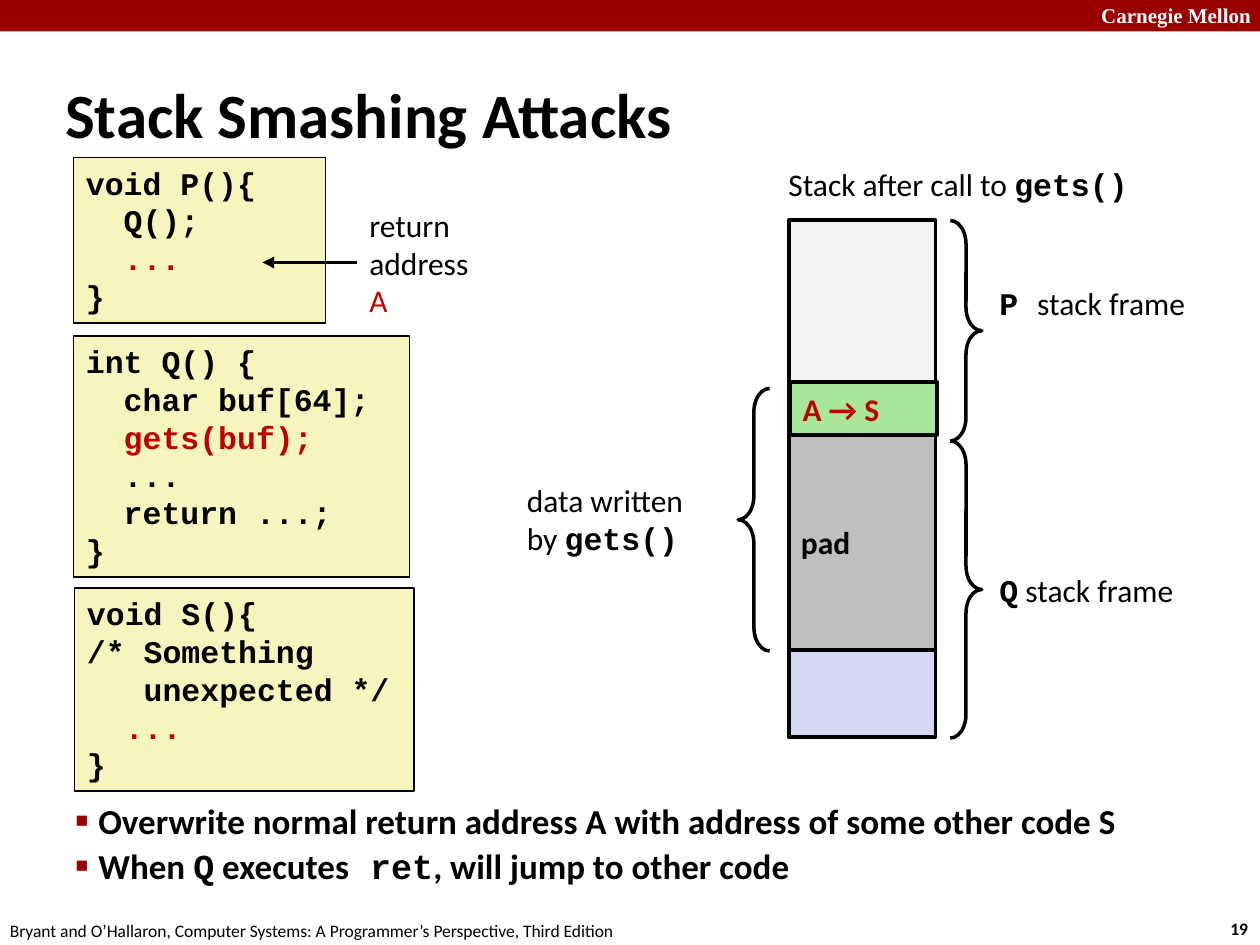
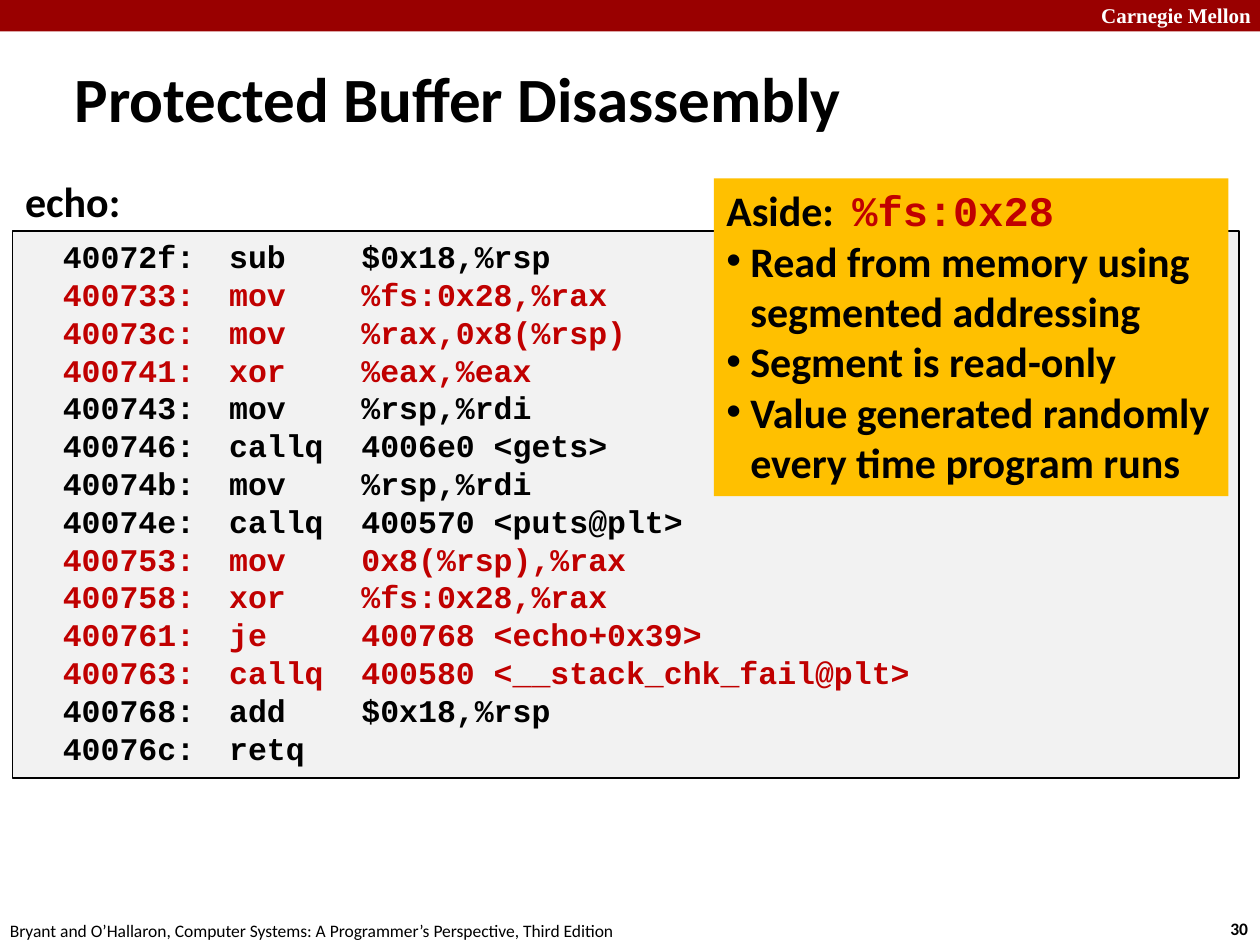
from dataclasses import dataclass

from lxml.etree import SubElement
from pptx import Presentation
from pptx.dml.color import RGBColor
from pptx.enum.shapes import MSO_CONNECTOR, MSO_SHAPE
from pptx.enum.text import MSO_ANCHOR, MSO_AUTO_SIZE, PP_ALIGN
from pptx.oxml.ns import qn
from pptx.util import Emu, Inches, Pt


@dataclass(frozen=True)
class Theme:
    # Colours
    black: str = "000000"
    white: str = "FFFFFF"
    band: str = "990000"
    red: str = "C00000"
    code_fill: str = "F6F5BD"
    light_gray: str = "F2F2F2"
    gray: str = "BFBFBF"
    lavender: str = "D6D6F5"
    green: str = "A8E799"
    amber: str = "FFC000"
    # Fonts
    sans: str = "Calibri"
    mono: str = "Courier New"
    serif: str = "Times New Roman"
    # Type sizes
    title: int = 36
    aside: int = 24
    body: int = 20
    text: int = 18
    brand: int = 12
    footer: int = 10


theme = Theme()
RED = {"color": theme.red}
CODE = {"font": theme.mono, "bold": True}
PLAIN = {"bold": False}

presentation = Presentation()
presentation.slide_width, presentation.slide_height = Inches(10), Inches(7.5)
COLUMN = presentation.slide_width / 120
ROW = presentation.slide_height / 90


def grid(column, row, columns, rows):
    """Turn grid columns and rows into left, top, width and height."""
    return [Emu(round(count * unit)) for count, unit in
            zip((column, row, columns, rows), (COLUMN, ROW, COLUMN, ROW))]


def write(shape, lines=(), fill=None, line=None, anchor=MSO_ANCHOR.TOP, wrap=False,
          tabs=(), bullet=None, bullet_color=None, bullet_size=100, indent=0,
          first_bullet=0, line_spacing=None, space_before=0, **text_format):
    """Style a shape and fill it; a line is a string or a list of runs,
    a run is a string or a (string, format) pair."""
    shape.shadow.inherit = False
    shape.fill.background()
    if fill:
        shape.fill.solid()
        shape.fill.fore_color.rgb = RGBColor.from_string(fill)
    shape.line.fill.background()
    if line:
        shape.line.color.rgb = RGBColor.from_string(theme.black)
        shape.line.width = Pt(line)

    frame = shape.text_frame
    frame.auto_size = MSO_AUTO_SIZE.NONE
    frame.word_wrap = wrap
    frame.vertical_anchor = anchor
    base = {"font": theme.sans, "size": theme.text, "color": theme.black,
            "bold": False, **text_format}
    for index, runs in enumerate(lines):
        paragraph = frame.add_paragraph() if index else frame.paragraphs[0]
        properties = paragraph._p.get_or_add_pPr()
        if bullet and index >= first_bullet:
            properties.set("marL", str(Inches(indent)))
            properties.set("indent", str(-Inches(indent)))
            if bullet_color:
                color = SubElement(properties, qn("a:buClr"))
                SubElement(color, qn("a:srgbClr"), val=bullet_color)
            SubElement(properties, qn("a:buSzPct"), val=str(bullet_size * 1000))
            SubElement(properties, qn("a:buFont"), typeface="Arial")
            SubElement(properties, qn("a:buChar"), char=bullet)
        if tabs:
            tab_list = SubElement(properties, qn("a:tabLst"))
            for tab in tabs:
                SubElement(tab_list, qn("a:tab"), pos=str(Inches(tab)), algn="l")
        paragraph.alignment = PP_ALIGN.LEFT
        paragraph.space_before = Pt(space_before if index else 0)
        if line_spacing:
            paragraph.line_spacing = line_spacing

        for item in [runs] if isinstance(runs, str) else runs:
            text, changes = (item, {}) if isinstance(item, str) else item
            style = {**base, **changes}
            for part_index, part in enumerate(text.split("\n")):
                if part_index:
                    paragraph.add_line_break()
                run = paragraph.add_run()
                run.text = part
                run.font.name = style["font"]
                run.font.size = Pt(style["size"])
                run.font.bold = style["bold"]
                run.font.color.rgb = RGBColor.from_string(style["color"])


# Shared frame: band, brand, footer, number and title
FOOTER = "Bryant and O’Hallaron, Computer Systems: A Programmer’s Perspective, Third Edition"
TITLE_AND_CONTENT, TITLE_ONLY = 1, 5
slides = []
for layout, number, title, title_box in (
    (TITLE_AND_CONTENT, "19", "Stack Smashing Attacks", (5, 7, 109, 7.5)),
    (TITLE_ONLY, "30", "Protected Buffer Disassembly", (5.9, 5.5, 93, 7.5)),
):
    slide = presentation.slides.add_slide(presentation.slide_layouts[layout])
    slides.append(slide)
    band = slide.shapes.add_shape(MSO_SHAPE.RECTANGLE, *grid(0, 0, 120, 3))
    write(band, fill=theme.band)
    for text, box, text_format in (
        ("Carnegie Mellon", (103.7, -0.36, 17.1, 3.6),
         {"font": theme.serif, "size": theme.brand, "color": theme.white, "bold": True}),
        (number, (116, 86.8, 4.4, 3.2), {"size": theme.footer, "bold": True}),
        (FOOTER, (-0.24, 87, 61, 3.2), {"size": theme.footer}),
    ):
        write(slide.shapes.add_textbox(*grid(*box)), [text], **text_format)
    heading = slide.shapes.title
    heading.left, heading.top, heading.width, heading.height = grid(*title_box)
    write(heading, [title], size=theme.title, bold=True, wrap=True,
          anchor=MSO_ANCHOR.MIDDLE)

attack_slide, disassembly_slide = slides

# Attack slide: conclusions
conclusions = attack_slide.placeholders[1]
(conclusions.left, conclusions.top,
 conclusions.width, conclusions.height) = grid(6, 73, 108.4, 15)
write(conclusions, [
    "Overwrite normal return address A with address of some other code S",
    ["When ", ("Q", CODE), " executes", (" ret", CODE), ", will jump to other code"],
], size=theme.body, bold=True, wrap=True, anchor=MSO_ANCHOR.MIDDLE, bullet="■",
    bullet_color=theme.band, bullet_size=60, indent=0.18, line_spacing=0.9,
    space_before=4)

# Attack slide: code of the three functions
for box, lines in (
    ((7, 15, 24, 15.75),
     ["void P(){", "  Q();", ["  ", ("...", RED)], "}"]),
    ((7, 32, 32, 22.95),
     ["int Q() {", "  char buf[64];", ["  ", ("gets(buf);", RED)], "  ...",
      "  return ...;", "}"]),
    ((7.1, 56, 32.3, 19.35),
     ["void S(){", "/* Something", "   unexpected */", ["  ", ("...", RED)], "}"]),
):
    code_box = attack_slide.shapes.add_shape(MSO_SHAPE.RECTANGLE, *grid(*box))
    write(code_box, lines, fill=theme.code_fill, line=1, wrap=True,
          tabs=(0.5, 1.62), **CODE)

# Attack slide: return address and its arrow
return_label = attack_slide.shapes.add_textbox(*grid(34, 19, 12, 12))
write(return_label, ["return", "address", [("A", RED)]], anchor=MSO_ANCHOR.MIDDLE)
left, top, *_ = grid(25, 25, 0, 0)
arrow = attack_slide.shapes.add_connector(MSO_CONNECTOR.STRAIGHT,
                                          return_label.left, top, left, top)
arrow.begin_connect(return_label, 1)
arrow.line.color.rgb = RGBColor.from_string(theme.black)
arrow.line.width = Pt(2.25)
SubElement(arrow.line._get_or_add_ln(), qn("a:tailEnd"), type="triangle")
SubElement(arrow._element.spPr, qn("a:effectLst"))

# Attack slide: stack segments, back to front
for box, fill, lines, color in (
    ((75.1, 21, 14, 20.4), theme.light_gray, [], theme.black),
    ((75.1, 41.4, 14, 28.8), theme.lavender, [], theme.black),
    ((75.1, 41.4, 14, 20.5), theme.gray, ["pad"], theme.black),
    ((75.25, 36.4, 14, 5), theme.green, ["A → S"], theme.red),
):
    segment = attack_slide.shapes.add_shape(MSO_SHAPE.RECTANGLE, *grid(*box))
    write(segment, lines, fill=fill, line=2.25, color=color, bold=True,
          wrap=True, anchor=MSO_ANCHOR.MIDDLE)

# Attack slide: braces and stack labels
for kind, box in (
    (MSO_SHAPE.RIGHT_BRACE, (90.5, 21, 3, 21)),
    (MSO_SHAPE.RIGHT_BRACE, (90.5, 42, 3, 28.3)),
    (MSO_SHAPE.LEFT_BRACE, (70.3, 37, 3, 25)),
):
    brace = attack_slide.shapes.add_shape(kind, *grid(*box))
    brace.adjustments[0], brace.adjustments[1] = 0.75, 0.5
    write(brace, line=2)
for box, lines in (
    ((73.9, 15.1, 35.2, 4.8), [["Stack after call to ", ("gets()", CODE)]]),
    ((94, 26.5, 20.4, 4.8), [[("P ", CODE), "stack frame"]]),
    ((94, 53.8, 19.3, 4.8), [[("Q", CODE), " stack frame"]]),
    ((49, 45.2, 18, 8.5), ["data written", ["by ", ("gets()", CODE)]]),
):
    write(attack_slide.shapes.add_textbox(*grid(*box)), lines,
          anchor=MSO_ANCHOR.MIDDLE)

# Disassembly slide: listing, with the protection code in red
PROTECTION = {"400733", "40073c", "400741", "400753", "400758", "400761", "400763"}
instructions = (
    ("40072f", "sub", "$0x18,%rsp"),
    ("400733", "mov", "%fs:0x28,%rax"),
    ("40073c", "mov", "%rax,0x8(%rsp)"),
    ("400741", "xor", "%eax,%eax"),
    ("400743", "mov", "%rsp,%rdi"),
    ("400746", "callq", "4006e0 <gets>"),
    ("40074b", "mov", "%rsp,%rdi"),
    ("40074e", "callq", "400570 <puts@plt>"),
    ("400753", "mov", "0x8(%rsp),%rax"),
    ("400758", "xor", "%fs:0x28,%rax"),
    ("400761", "je", "400768 <echo+0x39>"),
    ("400763", "callq", "400580 <__stack_chk_fail@plt>"),
    ("400768", "add", "$0x18,%rsp"),
    ("40076c", "retq", ""),
)
listing_lines = []
for address, operation, operands in instructions:
    text = f"  {address}:\t{operation:<7}{operands}".rstrip()
    listing_lines.append([(text, RED if address in PROTECTION else {})])
listing = disassembly_slide.shapes.add_shape(MSO_SHAPE.RECTANGLE,
                                             *grid(1.2, 22, 116.8, 52.1))
write(listing, listing_lines, fill=theme.light_gray, line=1, wrap=True,
      tabs=(0.5, 1.62, 4.12, 4.31), **CODE)
function_label = disassembly_slide.shapes.add_textbox(*grid(1.2, 16.1, 11.6, 6))
write(function_label, ["echo:"], size=theme.aside, bold=True)

# Disassembly slide: aside
aside = disassembly_slide.shapes.add_shape(MSO_SHAPE.RECTANGLE,
                                           *grid(68, 17, 49, 30.25))
write(aside, [
    ["Aside:\t", ("%fs:0x28", {**CODE, **RED})],
    "Read from memory using\nsegmented addressing",
    "Segment is read-only",
    "Value generated randomly\nevery time program runs",
], fill=theme.amber, size=theme.aside, bold=True, tabs=(1,), bullet="•",
    indent=0.19, first_bullet=1)

presentation.save("out.pptx")
